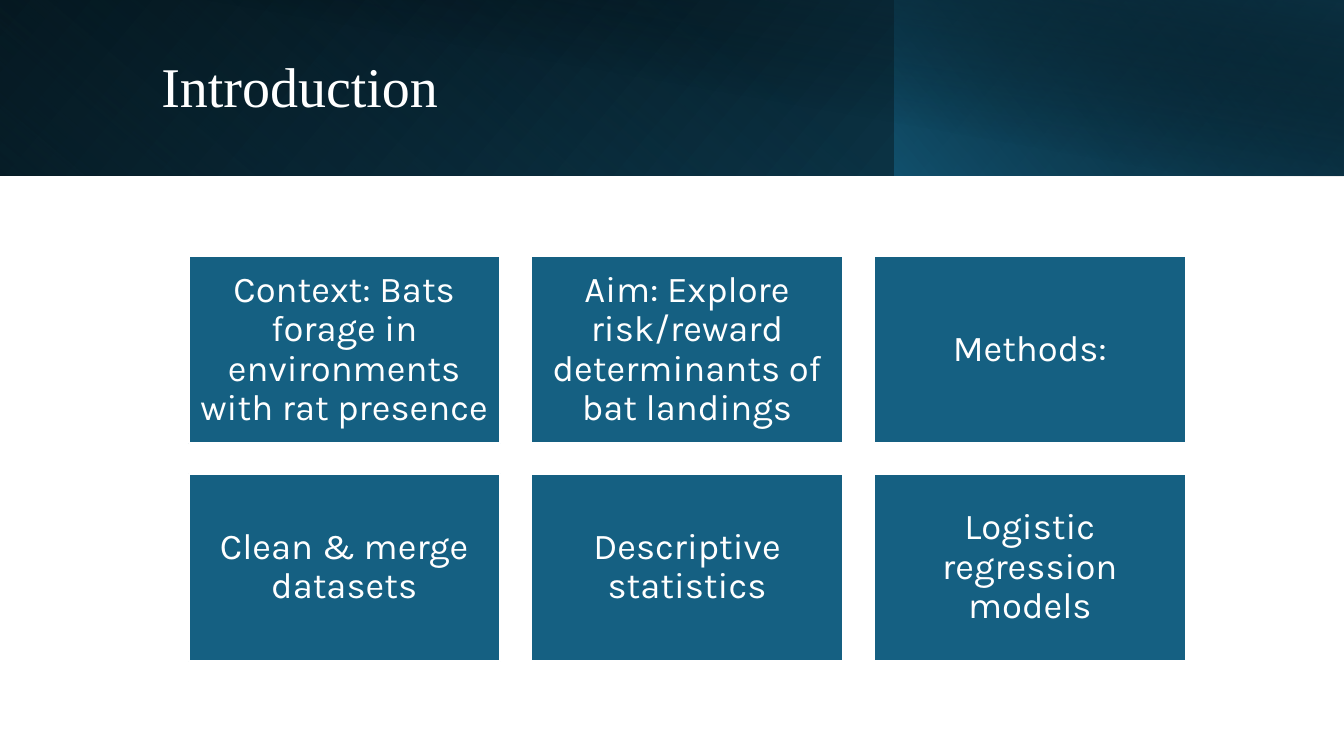
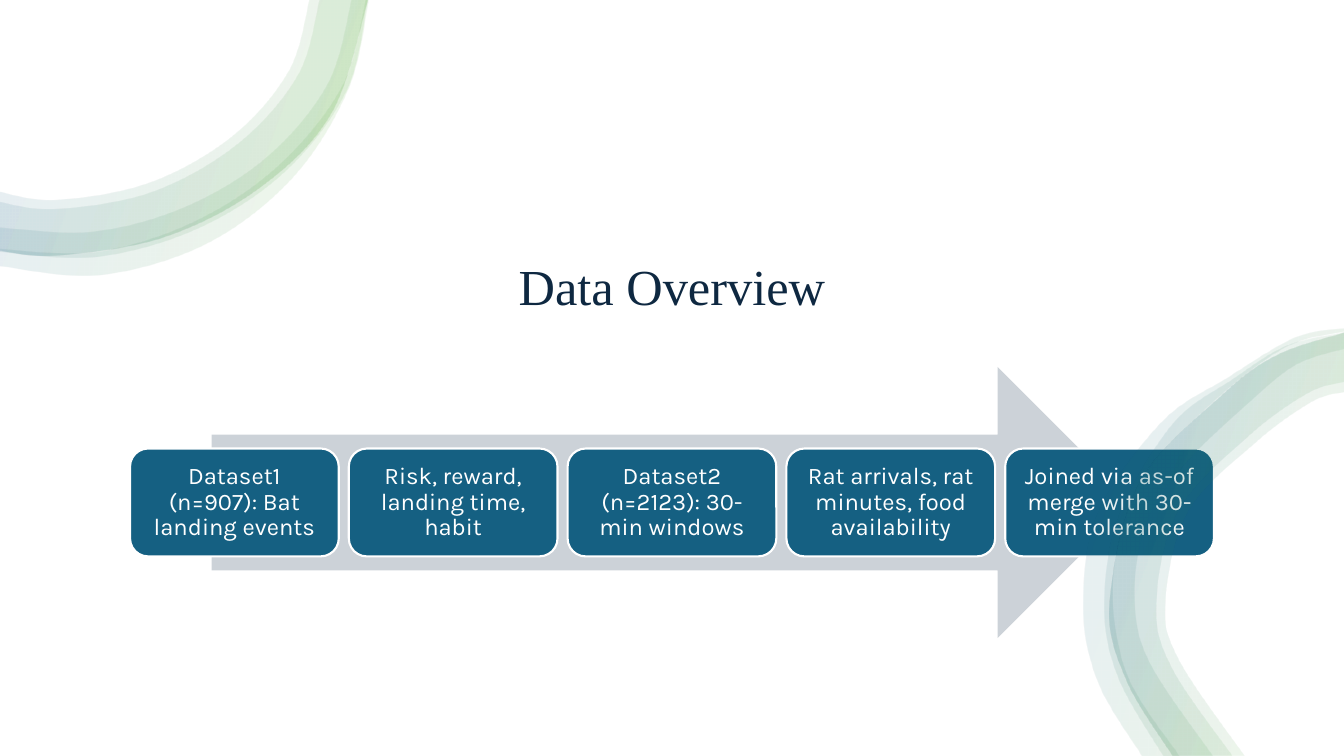
from dataclasses import dataclass

from lxml.etree import SubElement
from pptx import Presentation
from pptx.dml.color import RGBColor
from pptx.enum.shapes import MSO_SHAPE
from pptx.enum.text import MSO_ANCHOR, MSO_AUTO_SIZE, PP_ALIGN
from pptx.oxml.ns import qn
from pptx.util import Inches, Pt

# Shared style
WIDTH, HEIGHT = 13.33, 7.5
WHITE, BLACK, NAVY = "FFFFFF", "000000", "0E2841"
TEAL, DEEP_TEAL, DARK_TEAL, GREEN = "156082", "104862", "0B3041", "4EA72E"
ARROW_GREY = "CCD2D8"
TITLE_FONT, BODY_FONT = "Times New Roman", "Karla"
LINE_SPACING = 0.9

Point = tuple[float, float]


@dataclass(frozen=True)
class Box:
    left: float
    top: float
    width: float
    height: float

    def lengths(self) -> list[int]:
        return [Inches(value) for value in (self.left, self.top, self.width, self.height)]


@dataclass(frozen=True)
class Stop:
    position: int
    color: str
    opacity: int = 100


@dataclass(frozen=True)
class Band:
    box: Box
    angle: int
    stops: tuple[Stop, ...]


@dataclass(frozen=True)
class CardStyle:
    preset: MSO_SHAPE
    size: int
    inset: float


@dataclass(frozen=True)
class Ribbon:
    outer: list[Point]
    inner: list[Point]


# Slide 1 content
HEADER_BANDS = [
    Band(Box(0, 0, WIDTH, 1.74), 40, (Stop(0, BLACK), Stop(100, DEEP_TEAL))),
    Band(Box(0, 0, 8.88, 1.74), 130, (Stop(20, TEAL, 0), Stop(100, DARK_TEAL, 55))),
    Band(Box(8.87, 0, 4.46, 1.74), 320, (Stop(0, TEAL, 66), Stop(100, BLACK, 30))),
    Band(Box(0.5, 0, 12.83, 1.75), 280, (Stop(50, BLACK, 0), Stop(99, DARK_TEAL, 52))),
]
INTRODUCTION_CARDS = [
    "Context: Bats forage in environments with rat presence",
    "Aim: Explore risk/reward determinants of bat landings",
    "Methods:",
    "Clean & merge datasets",
    "Descriptive statistics",
    "Logistic regression models",
]
GRID_CARD = CardStyle(MSO_SHAPE.RECTANGLE, 26, 0.11)

# Slide 2 content
DATA_STEPS = [
    "Dataset1 (n=907): Bat landing events",
    "Risk, reward, landing time, habit",
    "Dataset2 (n=2123): 30-min windows",
    "Rat arrivals, rat minutes, food availability",
    "Joined via as-of merge with 30-min tolerance",
]
STEP_CARD = CardStyle(MSO_SHAPE.ROUNDED_RECTANGLE, 17, 0.07)
RIBBON_ANGLE = 200
RIBBON_STOPS = (Stop(2, WHITE, 10), Stop(16, GREEN, 10), Stop(85, TEAL, 10), Stop(100, WHITE, 10))

# Each ribbon runs along one edge and back along the other
LEFT_EDGE = [(3.64, 0), (3.28, 1.12), (2.57, 1.86), (1.62, 2.35), (0.56, 2.53), (0, 2.48)]
LEFT_RIBBONS = [
    Ribbon(LEFT_EDGE, [(0, 1.9), (0.56, 1.98), (1.48, 1.81), (2.3, 1.35), (2.86, 0.7), (3.06, 0)]),
    Ribbon(LEFT_EDGE, [(0, 2), (0.56, 2.07), (1.51, 1.9), (2.36, 1.42), (2.95, 0.74), (3.16, 0)]),
    Ribbon([(3.64, 0), (3.43, 0.9), (2.82, 1.7), (1.96, 2.26), (0.96, 2.54), (0, 2.49)],
           [(0, 2.25), (0.93, 2.29), (1.85, 2.04), (2.66, 1.54), (3.25, 0.82), (3.48, 0)]),
    Ribbon([(3.66, 0), (3.46, 0.88), (2.91, 1.76), (2.05, 2.42), (0.99, 2.73), (0, 2.64)],
           [(0, 2.47), (0.96, 2.5), (1.93, 2.2), (2.77, 1.64), (3.4, 0.85), (3.63, 0)]),
]
RIGHT_EDGE = [(11.63, 7.5), (11.17, 6.74), (11.01, 5.98), (11.31, 4.78), (12.13, 3.91),
              (12.67, 3.52), (WIDTH, 3.3)]
RIGHT_RIBBONS = [
    Ribbon([(11.33, 7.5), (10.9, 6.78), (10.75, 6.04), (10.89, 5.1), (11.52, 4.19),
            (12.17, 3.75), (12.84, 3.35), (WIDTH, 3.26)],
           [(WIDTH, 3.29), (12.74, 3.45), (12.02, 4), (11.34, 4.74), (11.05, 5.68),
            (11.17, 6.66), (11.7, 7.5)]),
    Ribbon([(11.54, 7.5), (11.1, 6.73), (10.96, 6.02), (11.1, 5.13), (11.63, 4.21),
            (12.23, 3.76), (12.76, 3.43), (WIDTH, 3.3)],
           [(WIDTH, 3.46), (12.85, 3.62), (12.39, 3.99), (11.72, 4.64), (11.36, 5.22),
            (11.26, 5.95), (11.41, 6.58), (12.03, 7.5)]),
    Ribbon(RIGHT_EDGE,
           [(WIDTH, 3.79), (12.97, 3.9), (12.39, 4.32), (11.69, 5.06), (11.47, 5.98),
            (11.62, 6.62), (12.22, 7.5)]),
    Ribbon(RIGHT_EDGE,
           [(WIDTH, 3.89), (13, 3.99), (12.44, 4.4), (11.78, 5.08), (11.56, 5.98),
            (11.7, 6.56), (12.34, 7.5)]),
]


def rgb(color: str) -> RGBColor:
    return RGBColor.from_string(color)


def fill_gradient(shape, angle: int, stops: tuple[Stop, ...]) -> None:
    """Fill with a linear gradient; the angle runs clockwise."""
    shape.fill.background()
    no_fill = shape._element.spPr.find(qn("a:noFill"))
    gradient = SubElement(shape._element.spPr, qn("a:gradFill"), rotWithShape="1")
    stop_list = SubElement(gradient, qn("a:gsLst"))
    for stop in stops:
        entry = SubElement(stop_list, qn("a:gs"), pos=str(stop.position * 1000))
        color = SubElement(entry, qn("a:srgbClr"), val=stop.color)
        if stop.opacity < 100:
            SubElement(color, qn("a:alpha"), val=str(stop.opacity * 1000))
    SubElement(gradient, qn("a:lin"), ang=str(angle * 60000), scaled="0")
    shape._element.spPr.replace(no_fill, gradient)


def add_plain_shape(slide, preset: MSO_SHAPE, box: Box):
    shape = slide.shapes.add_shape(preset, *box.lengths())
    shape.shadow.inherit = False
    shape.line.fill.background()
    return shape


def format_paragraph(paragraph, font: str, size: int, color: str, alignment: PP_ALIGN) -> None:
    paragraph.alignment = alignment
    paragraph.line_spacing = LINE_SPACING
    paragraph.font.name = font
    paragraph.font.size = Pt(size)
    paragraph.font.color.rgb = rgb(color)


def set_title(slide, text: str, box: Box, size: int, color: str,
              alignment: PP_ALIGN, anchor: MSO_ANCHOR) -> None:
    title = slide.shapes.title
    title.left, title.top, title.width, title.height = box.lengths()
    frame = title.text_frame
    frame.text = text
    frame.auto_size = MSO_AUTO_SIZE.NONE
    frame.vertical_anchor = anchor
    format_paragraph(frame.paragraphs[0], TITLE_FONT, size, color, alignment)
    slide.shapes._spTree.append(title._element)  # bring to front


def add_card(slide, text: str, box: Box, style: CardStyle) -> None:
    card = add_plain_shape(slide, style.preset, box)
    card.fill.solid()
    card.fill.fore_color.rgb = rgb(TEAL)
    card.line.color.rgb = rgb(WHITE)
    card.line.width = Pt(1.5)
    frame = card.text_frame
    frame.word_wrap = True
    frame.vertical_anchor = MSO_ANCHOR.MIDDLE
    frame.margin_left = frame.margin_right = Inches(style.inset)
    frame.margin_top = frame.margin_bottom = Inches(style.inset)
    frame.text = text
    format_paragraph(frame.paragraphs[0], BODY_FONT, style.size, WHITE, PP_ALIGN.CENTER)


def curve_controls(points: list[Point]) -> list[list[Point]]:
    """Control points and end of each Bezier segment through the points."""
    padded = [points[0], *points, points[-1]]
    return [
        [(start[0] + (end[0] - before[0]) / 6, start[1] + (end[1] - before[1]) / 6),
         (end[0] - (after[0] - start[0]) / 6, end[1] - (after[1] - start[1]) / 6),
         end]
        for before, start, end, after in zip(padded, padded[1:], padded[2:], padded[3:])
    ]


def add_ribbon(slide, ribbon: Ribbon) -> None:
    outline = [(Inches(x), Inches(y)) for x, y in ribbon.outer + ribbon.inner]
    builder = slide.shapes.build_freeform(*outline[0])
    builder.add_line_segments(outline[1:], close=True)
    shape = builder.convert_to_shape()
    shape.shadow.inherit = False
    shape.line.fill.background()
    fill_gradient(shape, RIBBON_ANGLE, RIBBON_STOPS)
    # Bend both edges; the line joining them stays straight
    segments = [*curve_controls(ribbon.outer), None, *curve_controls(ribbon.inner)]
    lines = list(shape._element.iter(qn("a:lnTo")))
    for line, controls in zip(lines, segments):
        if controls is None:
            continue
        curve = SubElement(line.getparent(), qn("a:cubicBezTo"))
        for x, y in controls:
            SubElement(curve, qn("a:pt"), x=str(Inches(x) - shape.left),
                       y=str(Inches(y) - shape.top))
        line.getparent().replace(line, curve)


def build_introduction(slide) -> None:
    # Header
    for band in HEADER_BANDS:
        fill_gradient(add_plain_shape(slide, MSO_SHAPE.RECTANGLE, band.box), band.angle, band.stops)
    set_title(slide, "Introduction", Box(1.5, 0.32, 10.82, 1.13), 40, WHITE,
              PP_ALIGN.LEFT, MSO_ANCHOR.MIDDLE)
    # Card grid
    for index, text in enumerate(INTRODUCTION_CARDS):
        row, column = divmod(index, 3)
        add_card(slide, text, Box(1.87 + 3.4 * column, 2.54 + 2.16 * row, 3.09, 1.86), GRID_CARD)


def build_data_overview(slide) -> None:
    set_title(slide, "Data Overview", Box(1.29, 1.74, 10.75, 1.45), 36, NAVY,
              PP_ALIGN.CENTER, MSO_ANCHOR.BOTTOM)
    for ribbon in LEFT_RIBBONS:
        add_ribbon(slide, ribbon)
    # Process arrow with its steps
    arrow = add_plain_shape(slide, MSO_SHAPE.RIGHT_ARROW, Box(2.1, 3.64, 9.14, 2.69))
    arrow.fill.solid()
    arrow.fill.fore_color.rgb = rgb(ARROW_GREY)
    for index, text in enumerate(DATA_STEPS):
        add_card(slide, text, Box(1.29 + 2.17 * index, 4.45, 2.07, 1.07), STEP_CARD)
    for ribbon in RIGHT_RIBBONS:
        add_ribbon(slide, ribbon)


def main() -> None:
    presentation = Presentation()
    presentation.slide_width = Inches(WIDTH)
    presentation.slide_height = Inches(HEIGHT)
    title_only = presentation.slide_layouts[5]
    for build in (build_introduction, build_data_overview):
        build(presentation.slides.add_slide(title_only))
    presentation.save("out.pptx")


if __name__ == "__main__":
    main()
